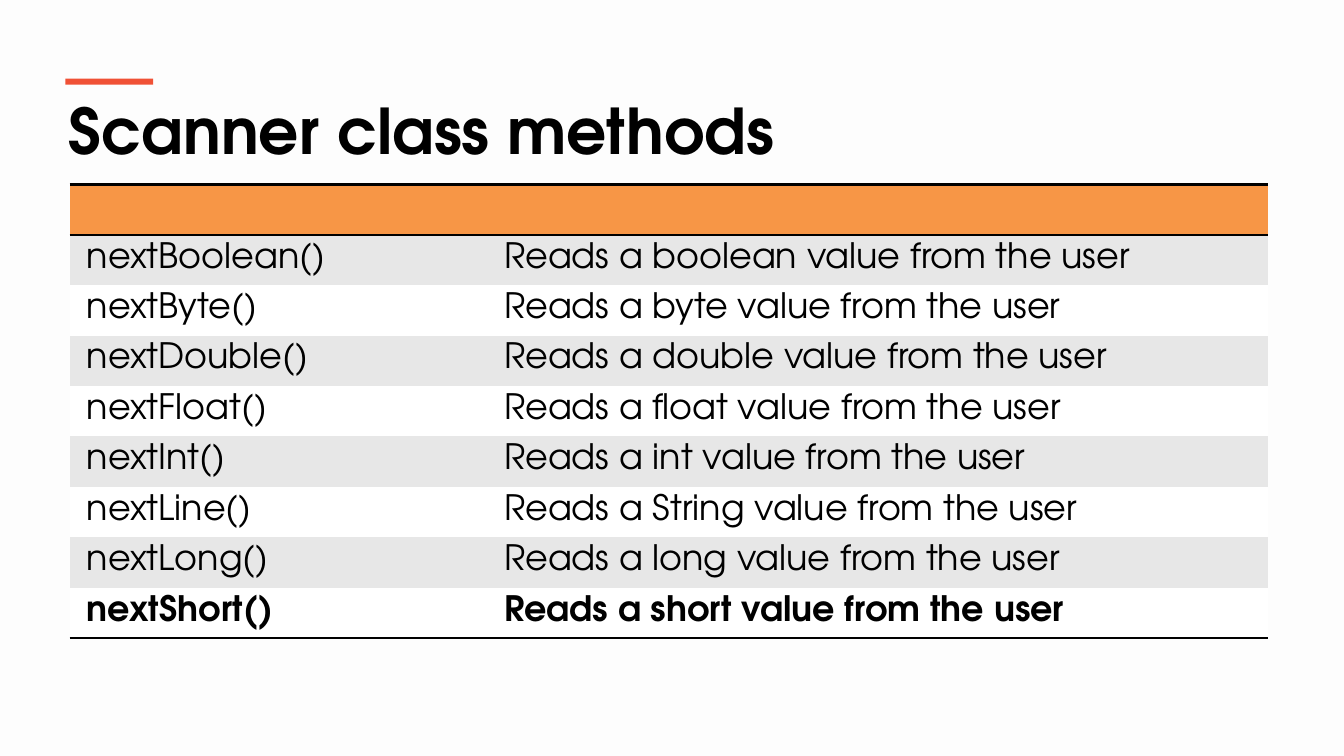
from dataclasses import dataclass

import pptx
import pptx.dml.color
import pptx.enum.shapes
import pptx.enum.text
import pptx.oxml
import pptx.oxml.ns
import pptx.util
from pptx.util import Inches

NO_GRID_STYLE = "{2D5ABB26-0587-4C30-8999-92F81FD0307C}"
TYPES = ["Boolean", "Byte", "Double", "Float", "Int", "Line", "Long", "Short"]
COLUMN_WIDTHS = [4.23, 7.66]
LEFT_MARGINS = [0.17, 0.08]
ROW_HEIGHT = 0.5


@dataclass(frozen=True)
class Theme:
    font: str = "TeX Gyre Adventor"
    background: str = "FDFDFD"
    text: str = "000000"
    accent: str = "F05136"
    header: str = "F79646"
    band: str = "E7E7E7"
    plain: str = "FFFFFF"
    title_size: float = 45
    title_leading: float = 55
    body_size: float = 25
    body_leading: float = 25
    rule_width: float = 1.98


THEME = Theme()


def rgb(value):
    return pptx.dml.color.RGBColor.from_string(value)


def set_fill(fill, color):
    fill.solid()
    fill.fore_color.rgb = rgb(color)


def write(tf, text, size, leading, bold):
    p = tf.paragraphs[0]
    p.alignment = pptx.enum.text.PP_ALIGN.LEFT
    p.line_spacing = pptx.util.Pt(leading)
    r = p.add_run()
    r.text = text
    values = {"name": THEME.font, "size": pptx.util.Pt(size), "bold": bold}
    for name, value in values.items():
        setattr(r.font, name, value)
    r.font.color.rgb = rgb(THEME.text)


def add_title(s, text):
    sp = s.shapes.title
    box = {"left": 0.58, "top": 0.84, "width": 12.34, "height": 0.85}
    for name, value in box.items():
        setattr(sp, name, Inches(value))
    tf = sp.text_frame
    values = {
        "word_wrap": True,
        "auto_size": pptx.enum.text.MSO_AUTO_SIZE.NONE,
        "vertical_anchor": pptx.enum.text.MSO_ANCHOR.TOP,
    }
    for name, value in values.items():
        setattr(tf, name, value)
    write(tf, text, THEME.title_size, THEME.title_leading, True)


def add_accent_bar(s):
    sp = s.shapes.add_shape(
        pptx.enum.shapes.MSO_SHAPE.RECTANGLE,
        Inches(0.65), Inches(0.78), Inches(0.87), Inches(0.06))
    sp.shadow.inherit = False
    set_fill(sp.fill, THEME.accent)
    sp.line.fill.background()


def set_borders(cell, sides):
    """Rule the given sides; borders must precede the fill in the cell properties."""
    tc_pr = cell._tc.get_or_add_tcPr()
    for i, side in enumerate(sides):
        tc_pr.insert(i, pptx.oxml.parse_xml(
            f'<a:{side} {pptx.oxml.ns.nsdecls("a")} '
            f'w="{pptx.util.Pt(THEME.rule_width)}"><a:solidFill>'
            f'<a:srgbClr val="{THEME.text}"/></a:solidFill></a:{side}>'))


def add_methods_table(s, rows):
    """Draw an empty header row, then banded rows with the last one bold."""
    frame = s.shapes.add_table(
        len(rows) + 1, len(COLUMN_WIDTHS), Inches(0.69), Inches(1.83),
        Inches(sum(COLUMN_WIDTHS)), Inches(ROW_HEIGHT * (len(rows) + 1)))
    table = frame.table
    table._tbl.tblPr.find(pptx.oxml.ns.qn("a:tableStyleId")).text = NO_GRID_STYLE
    for column, width in zip(table.columns, COLUMN_WIDTHS):
        column.width = Inches(width)
    for row in table.rows:
        row.height = Inches(ROW_HEIGHT)
    for cell in table.rows[0].cells:
        set_fill(cell.fill, THEME.header)
        set_borders(cell, ["lnT", "lnB"])
    for i, texts in enumerate(rows, 1):
        last = i == len(rows)
        for j, text in enumerate(texts):
            cell = table.cell(i, j)
            cell.margin_left = Inches(LEFT_MARGINS[j])
            set_fill(cell.fill, THEME.band if i % 2 else THEME.plain)
            write(cell.text_frame, text, THEME.body_size, THEME.body_leading, last)
            if last:
                set_borders(cell, ["lnB"])


def method_row(name):
    kind = "String" if name == "Line" else name.lower()
    return f"next{name}()", f"Reads a {kind} value from the user"


def main():
    prs = pptx.Presentation()
    prs.slide_width, prs.slide_height = Inches(13.33), Inches(7.5)
    s = prs.slides.add_slide(prs.slide_layouts[5])
    set_fill(s.background.fill, THEME.background)
    add_methods_table(s, [method_row(name) for name in TYPES])
    add_title(s, "Scanner class methods")
    add_accent_bar(s)
    prs.save("out.pptx")


if __name__ == "__main__":
    main()
